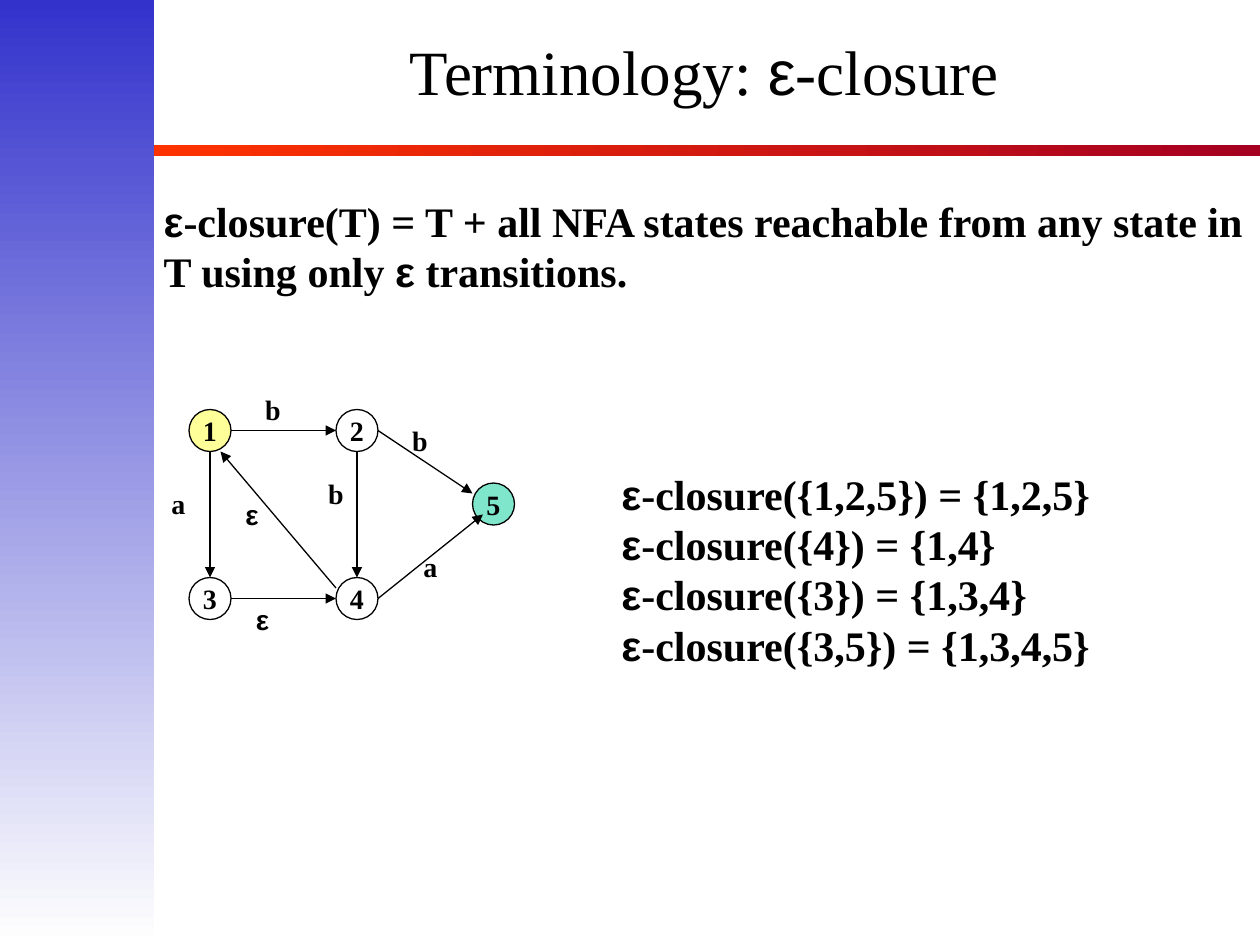
from dataclasses import dataclass
from itertools import groupby

from lxml.etree import SubElement
from pptx import Presentation
from pptx.dml.color import RGBColor as RGB
from pptx.enum.shapes import MSO_CONNECTOR as Connector, MSO_SHAPE as Shape
from pptx.enum.text import MSO_ANCHOR as Anchor, MSO_AUTO_SIZE as AutoSize, PP_ALIGN as Align
from pptx.oxml.ns import qn
from pptx.util import Pt


@dataclass(frozen=True)
class Theme:
    ink: RGB = RGB(0, 0, 0)
    paper: RGB = RGB(0xFF, 0xFF, 0xFF)
    side: RGB = RGB(0x33, 0x33, 0xCC)
    rule_start: RGB = RGB(0xFF, 0x33, 0x00)
    rule_end: RGB = RGB(0xA5, 0x00, 0x21)
    start_state: RGB = RGB(0xFF, 0xFF, 0x99)
    final_state: RGB = RGB(0x00, 0xCC, 0x99)
    title_size: int = 36
    body_size: int = 24
    graph_size: int = 16
    line_width: float = 0.75
    font: str = "Times New Roman"
    epsilon_font: str = "Arial"


THEME = Theme()
NODE = 24
LABEL_BOX = (22, 27)

# Points on a state's box where edges meet it
LEFT, RIGHT = (0, NODE / 2), (NODE, NODE / 2)
TOP, BOTTOM = (NODE / 2, 0), (NODE / 2, NODE)
UPPER_LEFT, LOWER_LEFT, LOWER_RIGHT = (0, 6), (6, 18), (18, NODE)

STATES = {"1": (0, 0), "2": (84, 0), "3": (0, 96), "4": (84, 96), "5": (162, 42)}
# from state, port, to state, port, symbol, centre of symbol
EDGES = [
    ("1", RIGHT, "2", LEFT, "b", (48, 0)),
    ("2", BOTTOM, "4", TOP, "b", (84, 48)),
    ("4", UPPER_LEFT, "1", LOWER_RIGHT, "ε", (36, 60)),
    ("1", BOTTOM, "3", TOP, "a", (-6, 54)),
    ("3", RIGHT, "4", LEFT, "ε", (42, 120)),
    ("4", RIGHT, "5", LOWER_LEFT, "a", (138, 90)),
    ("2", RIGHT, "5", UPPER_LEFT, "b", (132, 18)),
]
DEFINITION = ["ε-closure(T) = T + all NFA states reachable from any state in T "
              "using only ε transitions."]
EXAMPLES = [
    "ε-closure({1,2,5}) = {1,2,5}",
    "ε-closure({4}) = {1,4}",
    "ε-closure({3}) = {1,3,4}",
    "ε-closure({3,5}) = {1,3,4,5}",
]


def points(*lengths):
    return [Pt(length) for length in lengths]


def write(frame, lines, size, bold=True, align=Align.LEFT, anchor=Anchor.TOP,
          wrap=True, spacing=None):
    """Fill a text frame, setting each ε in its own font."""
    frame.word_wrap = wrap
    frame.auto_size = AutoSize.NONE
    frame.vertical_anchor = anchor
    frame.margin_left = frame.margin_right = Pt(7.2)
    frame.margin_top = frame.margin_bottom = Pt(3.6)
    for index, line in enumerate(lines):
        paragraph = frame.add_paragraph() if index else frame.paragraphs[0]
        paragraph.alignment = align
        if spacing:
            paragraph.line_spacing = spacing
        for is_epsilon, letters in groupby(line, lambda letter: letter == "ε"):
            run = paragraph.add_run()
            run.text = "".join(letters)
            run.font.name = THEME.epsilon_font if is_epsilon else THEME.font
            run.font.size = Pt(size)
            run.font.bold = bold
            run.font.color.rgb = THEME.ink


def add_text(slide, box, lines, size, **style):
    write(slide.shapes.add_textbox(*points(*box)).text_frame, lines, size, **style)


def add_gradient_bar(slide, box, first, last, angle):
    bar = slide.shapes.add_shape(Shape.RECTANGLE, *points(*box))
    bar.shadow.inherit = False
    bar.line.fill.background()
    bar.fill.gradient()
    bar.fill.gradient_angle = angle
    for stop, position, color in zip(bar.fill.gradient_stops, (0, 1), (first, last)):
        stop.position = position
        stop.color.rgb = color


def add_title(slide, box, text):
    title = slide.shapes.title
    title.left, title.top, title.width, title.height = points(*box)
    write(title.text_frame, [text], THEME.title_size, bold=False,
          align=Align.CENTER, anchor=Anchor.MIDDLE, spacing=0.8)


def add_state(slide, left, top, name):
    state = slide.shapes.add_shape(Shape.OVAL, *points(left, top, NODE, NODE))
    state.shadow.inherit = False
    state.fill.solid()
    fills = {"1": THEME.start_state, "5": THEME.final_state}
    state.fill.fore_color.rgb = fills.get(name, THEME.paper)
    if name == "5":
        color = state.fill._xPr.find(qn("a:solidFill"))[0]
        SubElement(color, qn("a:alpha"), val="50000")
    state.line.color.rgb = THEME.ink
    state.line.width = Pt(THEME.line_width)
    write(state.text_frame, [name], THEME.graph_size, align=Align.CENTER,
          anchor=Anchor.MIDDLE, wrap=False)


def add_arrow(slide, start, end):
    arrow = slide.shapes.add_connector(Connector.STRAIGHT, *points(*start, *end))
    arrow.line.color.rgb = THEME.ink
    arrow.line.width = Pt(THEME.line_width)
    SubElement(arrow.line._get_or_add_ln(), qn("a:tailEnd"), type="triangle")
    SubElement(arrow._element.spPr, qn("a:effectLst"))


def add_automaton(slide, left, top):
    for name, (x, y) in STATES.items():
        add_state(slide, left + x, top + y, name)

    def at_port(name, port):
        x, y = STATES[name]
        return left + x + port[0], top + y + port[1]

    for source, exit_port, target, entry_port, _, _ in EDGES:
        add_arrow(slide, at_port(source, exit_port), at_port(target, entry_port))
    width, height = LABEL_BOX
    for *_, symbol, (x, y) in EDGES:
        box = (left + x - width / 2, top + y - height / 2, width, height)
        add_text(slide, box, [symbol], THEME.graph_size, align=Align.CENTER, wrap=False)


def main():
    deck = Presentation()
    deck.slide_width, deck.slide_height = points(720, 540)
    slide = deck.slides.add_slide(deck.slide_layouts[5])
    add_gradient_bar(slide, (86.4, 82.8, 633.6, 6.5), THEME.rule_start, THEME.rule_end, 0)
    add_gradient_bar(slide, (0, 0, 88, 540), THEME.side, THEME.paper, 270)
    add_title(slide, (85, 0, 635, 88), "Terminology: ε-closure")
    add_text(slide, (86.4, 108, 636, 65), DEFINITION, THEME.body_size)
    add_automaton(slide, 108, 234)
    add_text(slide, (348, 264, 300, 122), EXAMPLES, THEME.body_size)
    deck.save("out.pptx")


if __name__ == "__main__":
    main()
